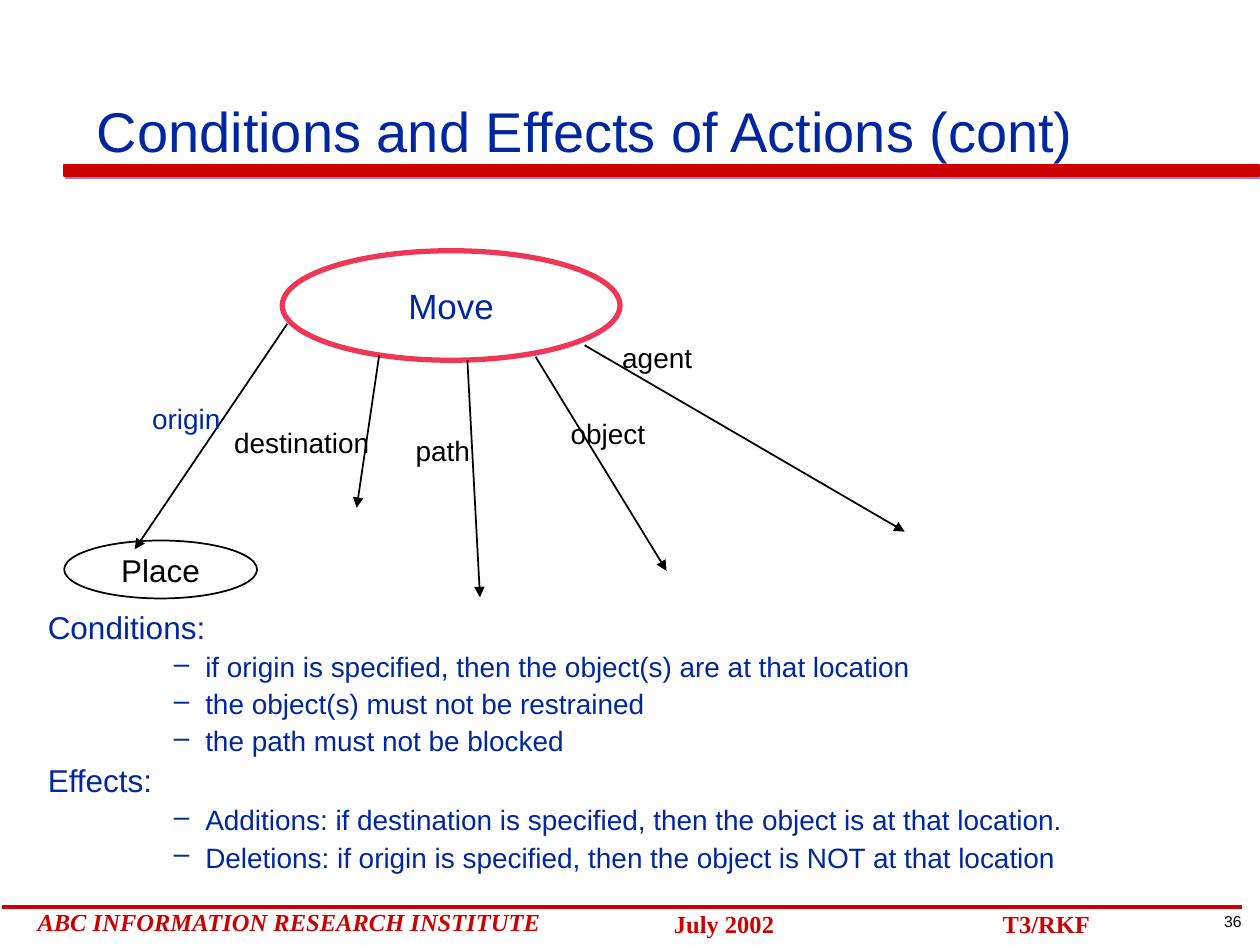
from typing import NamedTuple, Optional

from lxml import etree
from pptx import Presentation
from pptx import util as u
from pptx.dml.color import RGBColor
from pptx.enum import shapes, text
from pptx.oxml import ns

Pt = u.Pt
RED = RGBColor(0xCC, 0x00, 0x00)
ROSE = RGBColor(0xEE, 0x37, 0x57)
NAVY = RGBColor(0x00, 0x27, 0x9F)
BLACK = RGBColor(0x00, 0x00, 0x00)
BULLET_HEX = "003399"
BAR_SHADOW_HEX = "8080FF"
SANS, SERIF = "Arial", "Times New Roman"
LEFT, CENTER = text.PP_ALIGN.LEFT, text.PP_ALIGN.CENTER


class Box(NamedTuple):
    x: float
    y: float
    w: float
    h: float


class Node(NamedTuple):
    name: str
    box: Box
    size: float
    color: RGBColor
    outline: RGBColor
    width: float


class Role(NamedTuple):
    """An arrow leaving the Move node, with its label."""
    name: str
    start: tuple[float, float]
    end: tuple[float, float]
    label: Box
    color: RGBColor = BLACK
    wrap: bool = True


class Footer(NamedTuple):
    words: str
    box: Box
    italic: bool = False


NODES = [
    Node("Move", Box(161.3, 143.3, 193, 62.6), 20, NAVY, ROSE, 3),
    Node("Place", Box(36.7, 308.9, 110.2, 33.1), 18, BLACK, BLACK, 1),
]
ROLES = [
    Role("origin", (164.2, 185), (77, 313.9), Box(79.9, 226.1, 53.3, 26.6), NAVY, False),
    Role("destination", (216.7, 203), (203.8, 290.2), Box(126.7, 239.8, 150.5, 26.6)),
    Role("path", (267.1, 205.9), (274.3, 341.3), Box(230.4, 244.1, 92.9, 26.6)),
    Role("object", (306, 203.8), (380.9, 326.2), Box(319, 234.7, 56.9, 26.6), wrap=False),
    Role("agent", (334.1, 197.3), (517, 303.8), Box(348.5, 190.8, 170.6, 26.6)),
]
RULES = {
    "Conditions:": [
        "if origin is specified, then the object(s) are at that location",
        "the object(s) must not be restrained",
        "the path must not be blocked",
    ],
    "Effects:": [
        "Additions: if destination is specified, then the object is at that location.",
        "Deletions: if origin is specified, then the object is NOT at that location",
    ],
}
FOOTERS = [
    Footer("ABC INFORMATION RESEARCH INSTITUTE", Box(14.4, 514.8, 313.9, 23.8), True),
    Footer("July 2002", Box(378, 516.2, 118.1, 23.8)),
    Footer("T3/RKF", Box(565.9, 516.2, 118.1, 23.8)),
]


def add_xml(parent, tag: str, **attrs: str):
    return etree.SubElement(parent, ns.qn(tag), attrs)


def write(p, words: str, *, size: float, color: RGBColor, font: str = SANS,
          bold: bool = False, italic: bool = False, align=LEFT) -> None:
    p.alignment = align
    r = p.add_run()
    r.text = words
    f = r.font
    f.name, f.size, f.bold, f.italic = font, Pt(size), bold, italic
    f.color.rgb = color


def add_text_box(sl, box: Box, wrap: bool = True, anchor=text.MSO_ANCHOR.TOP):
    tf = sl.shapes.add_textbox(*map(Pt, box)).text_frame
    tf.word_wrap, tf.vertical_anchor = wrap, anchor
    return tf


def add_line(sl, start: tuple[float, float], end: tuple[float, float],
             color: RGBColor, width: float, arrow: bool = False) -> None:
    c = sl.shapes.add_connector(shapes.MSO_CONNECTOR.STRAIGHT, *map(Pt, start + end))
    c.line.color.rgb, c.line.width = color, Pt(width)
    if arrow:
        add_xml(c.line._get_or_add_ln(), "a:tailEnd", type="triangle")
    add_xml(c._element.spPr, "a:effectLst")


def add_shape(sl, kind, box: Box, outline: RGBColor, width: float,
              fill: Optional[RGBColor] = None):
    s = sl.shapes.add_shape(kind, *map(Pt, box))
    s.shadow.inherit = False
    if fill is None:
        s.fill.background()
    else:
        s.fill.solid()
        s.fill.fore_color.rgb = fill
    s.line.color.rgb, s.line.width = outline, Pt(width)
    return s


def add_node(sl, node: Node) -> None:
    s = add_shape(sl, shapes.MSO_SHAPE.OVAL, node.box, node.outline, node.width)
    tf = s.text_frame
    tf.word_wrap, tf.vertical_anchor = False, text.MSO_ANCHOR.MIDDLE
    write(tf.paragraphs[0], node.name, size=node.size, color=node.color, align=CENTER)


def add_role(sl, role: Role) -> None:
    add_line(sl, role.start, role.end, BLACK, 1, arrow=True)
    tf = add_text_box(sl, role.label, role.wrap)
    write(tf.paragraphs[0], role.name, size=16, color=role.color)


def add_header(sl) -> None:
    bar = add_shape(sl, shapes.MSO_SHAPE.RECTANGLE, Box(36.7, 94.3, 682.6, 6.5), RED, 1, RED)
    effects = bar._element.spPr.find(ns.qn("a:effectLst"))
    shadow = add_xml(effects, "a:outerShdw", dist=str(Pt(1.4)), dir="2700000")
    add_xml(shadow, "a:srgbClr", val=BAR_SHADOW_HEX)
    tf = add_text_box(sl, Box(48.2, 6.5, 610.6, 90.7), anchor=text.MSO_ANCHOR.BOTTOM)
    write(tf.paragraphs[0], "Conditions and Effects of Actions (cont)", size=32, color=NAVY)


def add_footer(sl) -> None:
    add_line(sl, (709.9, 518.4), (1.4, 518.4), RED, 2)
    for item in FOOTERS:
        write(add_text_box(sl, item.box).paragraphs[0], item.words, size=14,
              color=RED, font=SERIF, bold=True, italic=item.italic)
    number = add_text_box(sl, Box(676.8, 517.7, 55.4, 18), wrap=False)
    write(number.paragraphs[0], "36", size=9, color=BLACK, align=CENTER)


def add_rules(sl) -> None:
    tf = add_text_box(sl, Box(20.2, 346.3, 658.8, 167.8))
    lines = [(words, bulleted) for heading, items in RULES.items()
             for words, bulleted in [(heading, False), *((i, True) for i in items)]]
    for n, (words, bulleted) in enumerate(lines):
        p = tf.add_paragraph() if n else tf.paragraphs[0]
        p.line_spacing, p.space_before = 0.9, Pt(4 if bulleted else 4.5)
        write(p, words, size=16 if bulleted else 18, color=NAVY)
        if bulleted:
            p.level = 2
            pPr = p._p.get_or_add_pPr()
            pPr.set("marL", str(Pt(90)))
            pPr.set("indent", str(Pt(-18)))
            add_xml(add_xml(pPr, "a:buClr"), "a:srgbClr", val=BULLET_HEX)
            add_xml(pPr, "a:buChar", char="–")


def main() -> None:
    prs = Presentation()
    prs.slide_width, prs.slide_height = Pt(720), Pt(540)
    sl = prs.slides.add_slide(prs.slide_layouts[6])
    add_header(sl)
    add_footer(sl)
    add_rules(sl)
    for node in NODES:
        add_node(sl, node)
    for role in ROLES:
        add_role(sl, role)
    prs.save("out.pptx")


if __name__ == "__main__":
    main()
